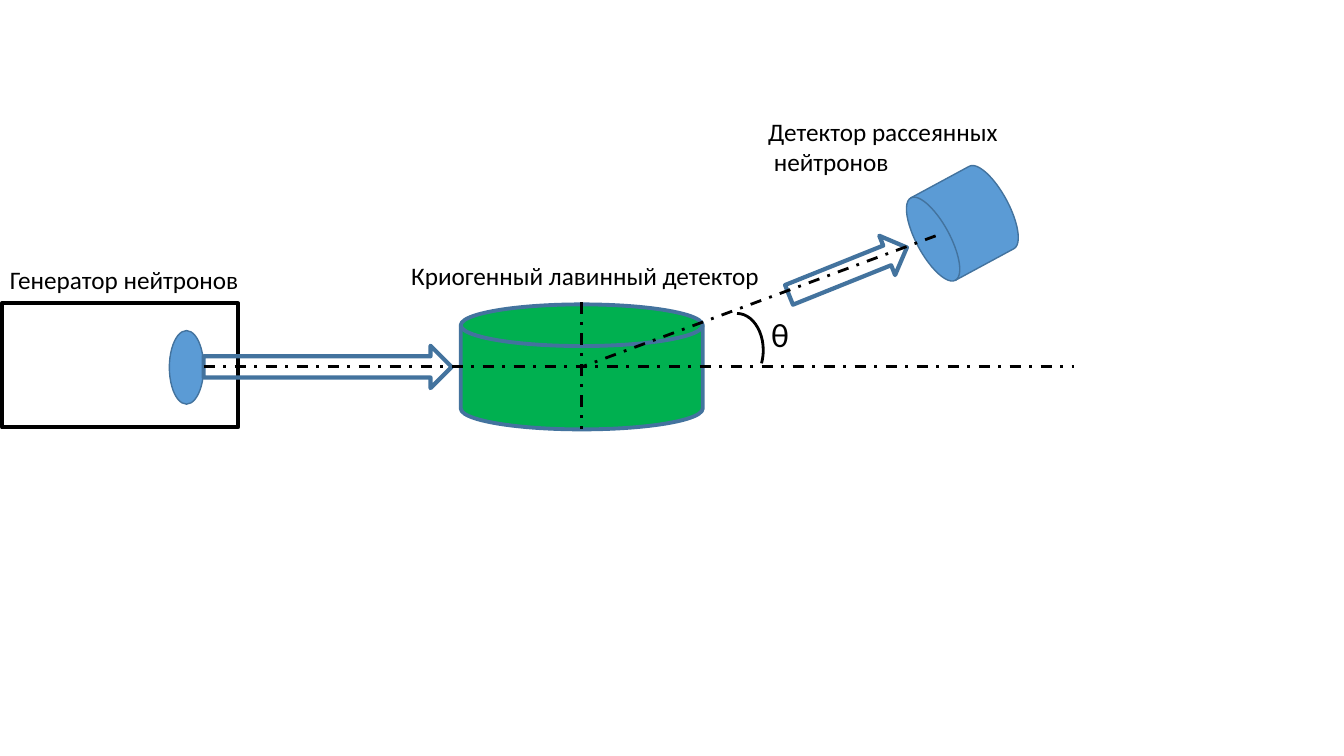
from dataclasses import dataclass

from pptx import Presentation
from pptx.dml.color import RGBColor
from pptx.enum import dml, shapes, text
from pptx.oxml import xmlchemy
from pptx.util import Inches, Pt

SHAPE = shapes.MSO_SHAPE


@dataclass(frozen=True)
class Theme:
    font: str = "Calibri"
    label: int = 18
    symbol: int = 24
    ink: str = "000000"
    edge: str = "43739E"
    blue: str = "5B9BD5"
    green: str = "00B050"
    thin: float = 1
    axis: float = 2
    rim: float = 2.75
    thick: float = 3


THEME = Theme()


def add_part(s, kind, box, line, width, fill=None, rotation=0):
    sp = s.shapes.add_shape(kind, *map(Inches, box))
    sp.shadow.inherit = False
    sp.rotation = rotation
    if fill:
        sp.fill.solid()
        sp.fill.fore_color.rgb = RGBColor.from_string(fill)
    else:
        sp.fill.background()
    sp.line.color.rgb = RGBColor.from_string(line)
    sp.line.width = Pt(width)
    return sp


def add_label(s, words, box, size=THEME.label):
    tf = s.shapes.add_textbox(*map(Inches, box)).text_frame
    tf.word_wrap = False
    tf.auto_size = text.MSO_AUTO_SIZE.SHAPE_TO_FIT_TEXT
    tf.text = words
    for p in tf.paragraphs:
        for r in p.runs:
            r.font.name = THEME.font
            r.font.size = Pt(size)
            r.font.color.rgb = RGBColor.from_string(THEME.ink)


def add_axis(s, start, end):
    line = s.shapes.add_connector(
        shapes.MSO_CONNECTOR.STRAIGHT, *map(Inches, (*start, *end)))
    line.line.color.rgb = RGBColor.from_string(THEME.ink)
    line.line.width = Pt(THEME.axis)
    line.line.dash_style = dml.MSO_LINE.DASH_DOT
    line._element.spPr.append(xmlchemy.OxmlElement("a:effectLst"))


def add_generator(s, x, y, w, h):
    """Neutron source: housing, target and outgoing beam."""
    add_part(s, SHAPE.RECTANGLE, (x, y, w, h), THEME.ink, THEME.thick)
    add_label(s, "Генератор нейтронов", (x - 0.02, y - 0.44, 2.5, 0.4))
    add_part(s, SHAPE.OVAL, (x + 1.66, y + 0.27, 0.34, 0.73),
             THEME.edge, THEME.thin, THEME.blue)
    add_part(s, SHAPE.RIGHT_ARROW, (x + 2, y + 0.42, 2.46, 0.42),
             THEME.edge, THEME.thick)


def add_cryogenic_detector(s, x, y, w, h):
    """Central green cylinder with its caption."""
    add_label(s, "Криогенный лавинный детектор",
              (x - 0.59, y - 0.49, 3.81, 0.4))
    add_part(s, SHAPE.FLOWCHART_MAGNETIC_DISK, (x, y, w, h),
             THEME.edge, THEME.rim, THEME.green)


def add_scatter_detector(s, x, y, w, h):
    """Tilted cylinder, its caption and the scattered beam."""
    add_part(s, SHAPE.FLOWCHART_MAGNETIC_DISK, (x, y, w, h),
             THEME.edge, THEME.thin, THEME.blue, 241.6)
    add_label(s, "Детектор рассеянных\n нейтронов",
              (x - 1.56, y - 0.62, 2.51, 0.71))
    add_part(s, SHAPE.RIGHT_ARROW, (x - 1.3, y + 0.76, 1.26, 0.42),
             THEME.edge, THEME.thick, rotation=338.1)


def add_axes(s, x, y):
    """Beam, vertical and scattering axes through the centre (x, y)."""
    add_axis(s, (x - 3.75, y), (x + 4.88, y))
    add_axis(s, (x, y - 0.64), (x, y + 0.62))
    add_axis(s, (x + 3.51, y - 1.3), (x, y))


def add_angle(s, x, y, w, h):
    """Scattering angle arc and its symbol."""
    arc = add_part(s, SHAPE.ARC, (x, y, w, h), THEME.ink, THEME.axis)
    arc.adjustments[0] = 162
    arc.adjustments[1] = 16.9
    add_label(s, "θ", (x + 0.5, y - 0.04, 0.38, 0.5), THEME.symbol)


def main():
    prs = Presentation()
    prs.slide_width, prs.slide_height = Inches(13.33), Inches(7.5)
    s = prs.slides.add_slide(prs.slide_layouts[6])
    add_generator(s, 0.02, 3.01, 2.34, 1.23)
    add_cryogenic_detector(s, 4.57, 3.02, 2.4, 1.24)
    add_scatter_detector(s, 9.08, 1.72, 0.93, 0.99)
    add_axes(s, 5.77, 3.64)
    add_angle(s, 7.05, 3.11, 0.52, 0.73)
    prs.save("out.pptx")


if __name__ == "__main__":
    main()
